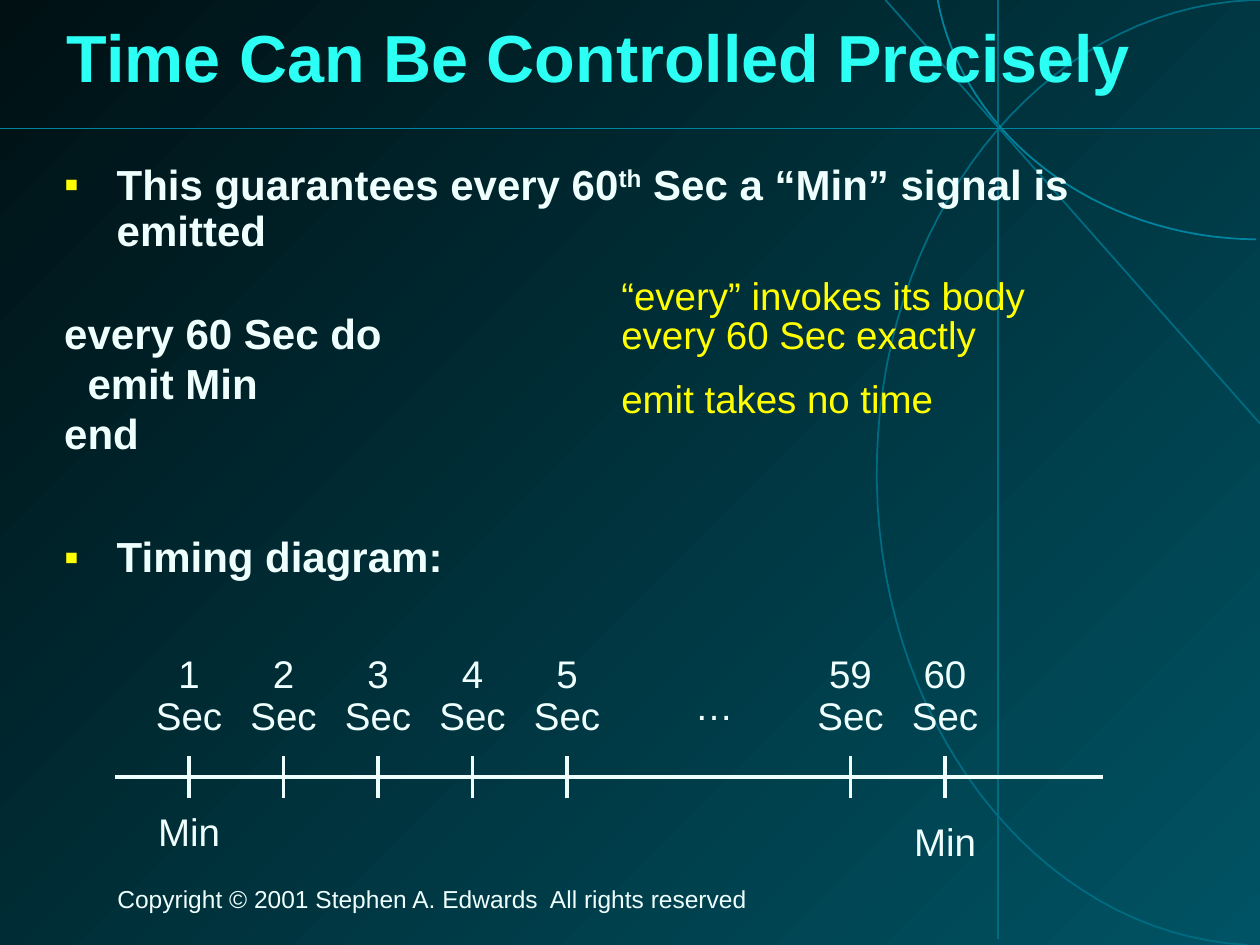
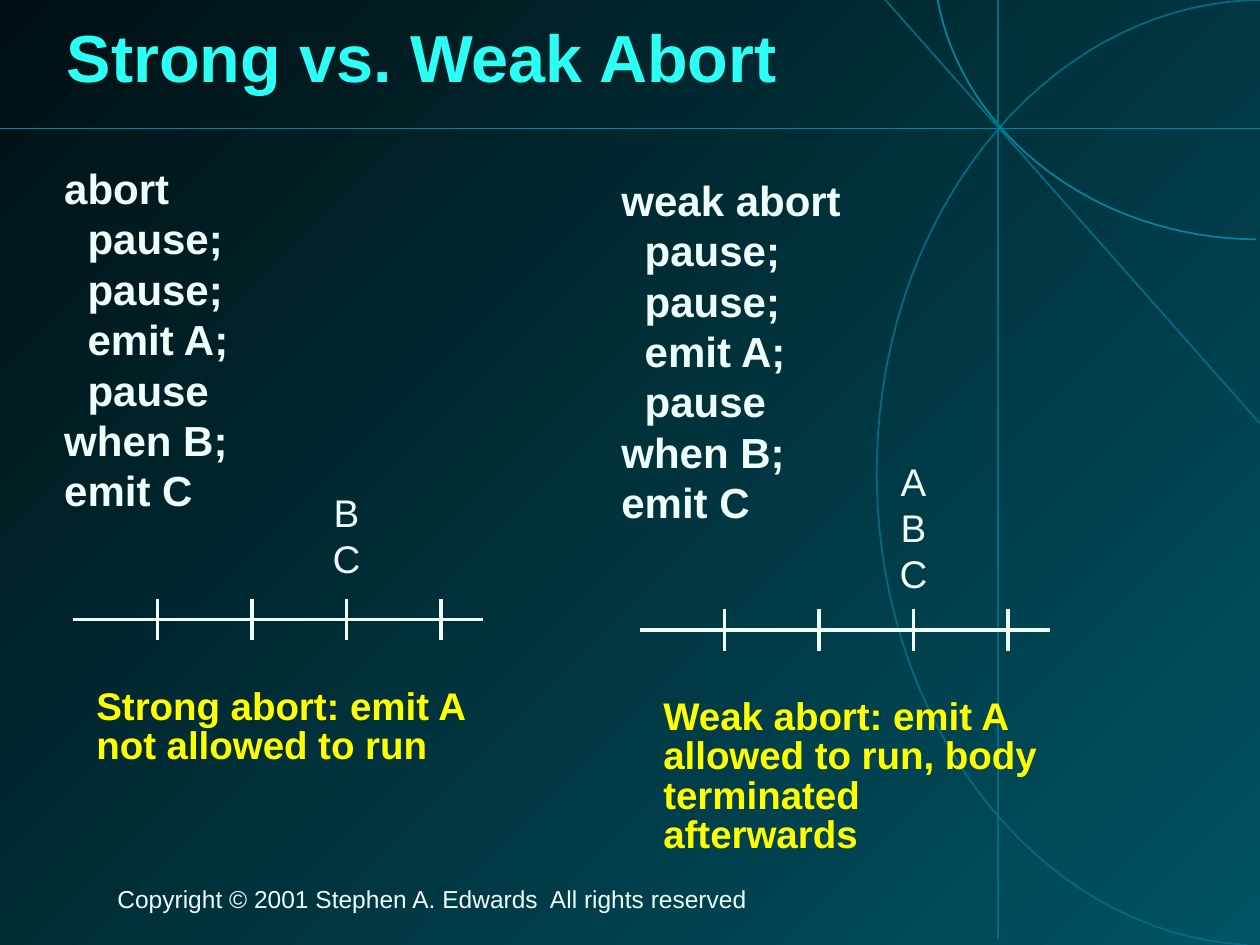
from dataclasses import dataclass

from lxml.etree import SubElement
from pptx import Presentation
from pptx.dml.color import RGBColor as Rgb
from pptx.enum.shapes import MSO_CONNECTOR as Connector
from pptx.enum.text import MSO_ANCHOR as Anchor, MSO_AUTO_SIZE as AutoSize, PP_ALIGN as Align
from pptx.oxml.ns import qn
from pptx.util import Pt


@dataclass(frozen=True)
class Theme:
    font: str = "Arial"
    text: str = "EFFFFD"
    title: str = "2CFFF3"
    accent: str = "FFFF00"
    dim_line: str = "006C82"
    bright_line: str = "0085A0"
    glow: str = "005364"
    dark: str = "001013"
    shadow: str = "000000"
    title_size: int = 38
    body_size: int = 24
    label_size: int = 22
    footer_size: int = 14


THEME = Theme()
INDENT = 30
SECOND = 54          # distance between two ticks
LABEL_WIDTH, DIGIT_WIDTH, LABEL_HEIGHT = 60, 36, 29.5
TIGHT = {"line_spacing": 0.85}
CENTRED = {"alignment": Align.CENTER}


def apply(target, formats):
    for name, value in formats.items():
        setattr(target, name, value)


def bezier(start, *segments, steps=32):
    """Points along a chain of cubic curves."""
    points = [start]
    for b, c, d in segments:
        a = points[-1]
        for step in range(1, steps + 1):
            t = step / steps
            u = 1 - t
            weights = (u ** 3, 3 * u * u * t, 3 * u * t * t, t ** 3)
            points.append(tuple(sum(w * p[axis] for w, p in zip(weights, (a, b, c, d)))
                                for axis in (0, 1)))
    return points


class Deck:
    def __init__(self, theme):
        self.theme = theme
        self.prs = Presentation()
        self.prs.slide_width, self.prs.slide_height = Pt(720), Pt(540)
        self.layout = self.prs.slide_layouts[1]
        self.slide = None

    def new_slide(self, title):
        self.slide = self.prs.slides.add_slide(self.layout)
        heading = self.slide.shapes.title
        self.place(heading, (31, 0, 663, 70.5), Anchor.MIDDLE)
        self.fill_frame(heading.text_frame, [title], self.theme.title_size, self.theme.title,
                        bold=True, line_spacing=0.87, alignment=Align.LEFT)
        for run in heading.text_frame.paragraphs[0].runs:
            self.add_text_shadow(run)

    def add_text_shadow(self, run):
        properties = run._r.get_or_add_rPr()
        effects = SubElement(properties, qn("a:effectLst"))
        shadow = SubElement(effects, qn("a:outerShdw"), dist="38100", dir="2700000")
        SubElement(shadow, qn("a:srgbClr"), val=self.theme.shadow)
        properties.find(qn("a:solidFill")).addnext(effects)

    def place(self, shape, box, anchor=Anchor.TOP):
        apply(shape, dict(zip(("left", "top", "width", "height"), map(Pt, box))))
        apply(shape.text_frame, {
            "word_wrap": True, "auto_size": AutoSize.NONE, "vertical_anchor": anchor,
            "margin_left": Pt(7.2), "margin_right": Pt(7.2),
            "margin_top": Pt(3.6), "margin_bottom": Pt(3.6)})

    def fill_paragraph(self, paragraph, text, size, color, bold=False, **formats):
        """Fill one paragraph; text between carets is superscript."""
        apply(paragraph, {"space_before": Pt(0), "space_after": Pt(0), **formats})
        for number, part in enumerate(text.split("^")):
            run = paragraph.add_run()
            run.text = part
            apply(run.font, {"name": self.theme.font, "size": Pt(size), "bold": bold})
            run.font.color.rgb = Rgb.from_string(color)
            if number % 2:
                run._r.get_or_add_rPr().set("baseline", "30000")

    def fill_frame(self, frame, lines, size, color, gap=0, **formats):
        for number, line in enumerate(lines):
            paragraph = frame.add_paragraph() if number else frame.paragraphs[0]
            self.fill_paragraph(paragraph, line, size, color,
                                space_before=Pt(gap if number else 0), **formats)

    def text(self, box, lines, size=None, color=None, **formats):
        shape = self.slide.shapes.add_textbox(*map(Pt, box))
        self.place(shape, box)
        self.fill_frame(shape.text_frame, lines, size or self.theme.label_size,
                        color or self.theme.text, **formats)

    def label(self, center, top, text, width=LABEL_WIDTH):
        self.text((center - width / 2, top, width, LABEL_HEIGHT), [text], **TIGHT, **CENTRED)

    def body_lines(self, frame, lines):
        """Add (text, bulleted, space before) entries with a hanging indent."""
        for number, (text, bulleted, before) in enumerate(lines):
            paragraph = frame.add_paragraph() if number else frame.paragraphs[0]
            properties = paragraph._p.get_or_add_pPr()
            properties.set("marL", str(Pt(INDENT)))
            properties.set("indent", str(-Pt(INDENT)))
            if bulleted:
                tint = SubElement(properties, qn("a:buClr"))
                SubElement(tint, qn("a:srgbClr"), val=self.theme.accent)
                SubElement(properties, qn("a:buChar"), char="▪")
            else:
                SubElement(properties, qn("a:buNone"))
            self.fill_paragraph(paragraph, text, self.theme.body_size, self.theme.text,
                                bold=True, space_before=Pt(before),
                                line_spacing=0.93 if bulleted else 1.0)

    def body(self, width, lines):
        shape = self.slide.placeholders[1]
        self.place(shape, (29.5, 89.3, width, 402.5))
        self.body_lines(shape.text_frame, lines)

    def code(self, box, lines):
        shape = self.slide.shapes.add_textbox(*map(Pt, box))
        self.place(shape, box)
        self.body_lines(shape.text_frame, lines)

    def line(self, start, end, color=None, width=2):
        connector = self.slide.shapes.add_connector(
            Connector.STRAIGHT, *map(Pt, (*start, *end)))
        connector.line.color.rgb = Rgb.from_string(color or self.theme.text)
        connector.line.width = Pt(width)
        SubElement(connector._element.spPr, qn("a:effectLst"))

    def curve(self, points, color):
        start, *rest = [(Pt(x), Pt(y)) for x, y in points]
        builder = self.slide.shapes.build_freeform(*start)
        builder.add_line_segments(rest, close=False)
        arc = builder.convert_to_shape()
        arc.shadow.inherit = False
        arc.fill.background()
        arc.line.color.rgb = Rgb.from_string(color)
        arc.line.width = Pt(1)

    def timeline(self, left, right, y, ticks):
        self.line((left, y), (right, y))
        for x in ticks:
            self.line((x, y - 12), (x, y + 12))

    def build_master(self):
        """Gradient, guide lines and copyright, shared by every slide."""
        theme, master = self.theme, self.prs.slide_master
        fill = master.background.fill
        fill.gradient()
        fill.gradient_angle = 135
        for stop, color in zip(fill.gradient_stops, (theme.glow, theme.dark)):
            stop.color.rgb = Rgb.from_string(color)

        own = set(self.slide.shapes._spTree)
        self.curve(bezier((712.8, 540),
                          ((591.8, 533.5), (497.5, 409.7), (501.1, 262.1)),
                          ((504.7, 114.5), (604.8, -2.2), (725.8, 0))), theme.dim_line)
        self.curve(bezier((717.8, 136.8),
                          ((627.1, 136.1), (550.1, 77.8), (535.7, -0.7))), theme.bright_line)
        self.line((720, 242), (506, 0), theme.dim_line, 1)
        self.line((570.3, 0), (570.3, 536.4), theme.dim_line, 1)
        self.line((0, 73.5), (720, 73.5), theme.bright_line, 1)
        self.text((60, 504, 582, 21.6),
                  ["Copyright © 2001 Stephen A. Edwards  All rights reserved"],
                  theme.footer_size, **TIGHT)

        shared = [element for element in self.slide.shapes._spTree if element not in own]
        for number, element in enumerate(shared, 100):
            element.xpath(".//p:cNvPr")[0].set("id", str(number))
            master.shapes._spTree.append(element)


def code_lines(*lines):
    return [(line, False, 0) for line in lines]


def precise_time(deck):
    deck.body(656.6, [
        ("This guarantees every 60^th^ Sec a “Min” signal is emitted", True, 0),
        ("every 60 Sec do", False, 29),
        *code_lines("  emit Min", "end"),
        ("Timing diagram:", True, 44)])

    # Timing diagram: seconds by tick slot
    slots = {0: 1, 1: 2, 2: 3, 3: 4, 4: 5, 7: 59, 8: 60}
    seconds = {108 + SECOND * slot: second for slot, second in slots.items()}
    deck.timeline(66, 630, 444, seconds)
    for x, second in seconds.items():
        deck.label(x, 372, str(second), DIGIT_WIDTH if second < 10 else LABEL_WIDTH)
        deck.label(x, 396, "Sec")
    deck.label(408, 390, "…")
    for x, top in ((min(seconds), 462), (max(seconds), 468)):
        deck.label(x, top, "Min")

    # Remarks on the code
    deck.text((348, 156, 246, 88.5),
              ["“every” invokes its body every 60 Sec exactly", "emit takes no time"],
              color=deck.theme.accent, gap=13.8, **TIGHT)


def abort_kinds(deck):
    program = ("  pause;", "  pause;", "  emit A;", "  pause", "when B;", "emit C")
    deck.body(306, code_lines("abort", *program))
    deck.code((348, 96, 306, 402.5), code_lines("weak abort", *program))

    # Axis start, axis height, signals with their top, remark with its top and height
    runs = (
        (42, 354, "BC", 276, "Strong abort: emit A not allowed to run", 390, 52.5),
        (366, 360, "ABC", 258,
         "Weak abort: emit A allowed to run, body terminated afterwards", 396, 97))
    for left, y, signals, signals_top, remark, remark_top, remark_height in runs:
        ticks = [left + 48 + SECOND * slot for slot in range(4)]
        deck.timeline(left, left + 234, y, ticks)
        deck.text((ticks[2] - DIGIT_WIDTH / 2, signals_top, DIGIT_WIDTH, 29 * len(signals)),
                  signals, **CENTRED)
        deck.text((left + 6, remark_top, 234, remark_height), [remark],
                  color=deck.theme.accent, bold=True, **TIGHT)


def main():
    deck = Deck(THEME)
    deck.new_slide("Time Can Be Controlled Precisely")
    deck.build_master()
    precise_time(deck)
    deck.new_slide("Strong vs. Weak Abort")
    abort_kinds(deck)
    deck.prs.save("out.pptx")


if __name__ == "__main__":
    main()
